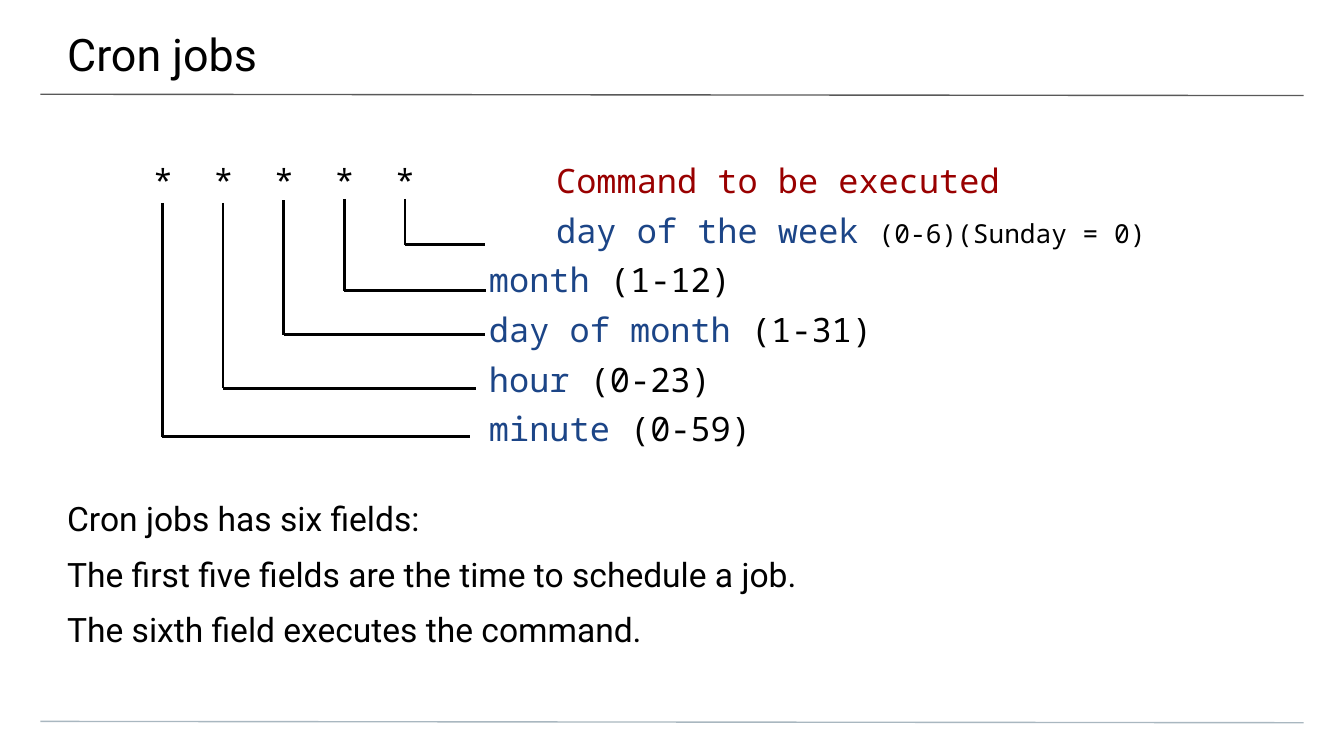
from lxml.etree import SubElement
from pptx import Presentation
from pptx.dml.color import RGBColor
from pptx.enum.shapes import MSO_CONNECTOR
from pptx.enum.text import MSO_ANCHOR
from pptx.oxml.ns import qn
from pptx.util import Pt

COLOURS = {
    "text": "000000",
    "command": "990000",
    "field": "1C4587",
    "top rule": "595959",
    "bottom rule": "A9B7C0",
}
TEXT_FONT = "Roboto"
CODE_FONT = "Noto Sans Mono"

STAR_PITCH = 32.4
COMMAND_INDENT = 216
FIELD_INDENT = 180

# Each row: left indent, then (text, colour, size) for each run
CRON_ROWS = [
    (0, [("*\t*\t*\t*\t*\t", "text", 18), ("Command to be executed", "command", 18)]),
    (COMMAND_INDENT, [("day of the week ", "field", 18), ("(0-6)(Sunday = 0)", "text", 14)]),
    (FIELD_INDENT, [("month", "field", 18), (" (1-12)", "text", 18)]),
    (FIELD_INDENT, [("day of month", "field", 18), (" (1-31)", "text", 18)]),
    (FIELD_INDENT, [("hour", "field", 18), (" (0-23)", "text", 18)]),
    (FIELD_INDENT, [("minute", "field", 18), (" (0-59)", "text", 18)]),
]

# Top, bottom and right end of the bracket under each star, left to right
BRACKETS = [
    (108.7, 234, 252),
    (108.7, 208, 255),
    (107.3, 179.3, 260),
    (106.6, 155.7, 260.6),
    (106.6, 131.2, 260),
]
BRACKET_LEFT = 87
BRACKET_PITCH = 32.5

BODY_LINES = [
    "Cron jobs has six fields:",
    "The first five fields are the time to schedule a job.",
    "The sixth field executes the command.",
]


def colour(name):
    return RGBColor.from_string(COLOURS[name])


def add_line(slide, start, end, colour_name, width):
    line = slide.shapes.add_connector(
        MSO_CONNECTOR.STRAIGHT, *(Pt(value) for value in (*start, *end))
    )
    line.line.color.rgb = colour(colour_name)
    line.line.width = Pt(width)
    SubElement(line._element.spPr, qn("a:effectLst"))


def add_text_frame(slide, box, insets):
    """Add a wrapping text box; insets are left, top, right, bottom."""
    frame = slide.shapes.add_textbox(*(Pt(value) for value in box)).text_frame
    frame.word_wrap = True
    frame.vertical_anchor = MSO_ANCHOR.TOP
    (frame.margin_left, frame.margin_top,
     frame.margin_right, frame.margin_bottom) = (Pt(value) for value in insets)
    return frame


def next_paragraph(frame, index, space_before):
    if index == 0:
        return frame.paragraphs[0]
    paragraph = frame.add_paragraph()
    paragraph.space_before = Pt(space_before)
    return paragraph


def add_plain_text(slide, box, insets, lines, size):
    frame = add_text_frame(slide, box, insets)
    for index, line in enumerate(lines):
        paragraph = next_paragraph(frame, index, 8)
        paragraph.text = line
        paragraph.font.name = TEXT_FONT
        paragraph.font.size = Pt(size)
        paragraph.font.color.rgb = colour("text")


def set_tab_stops(paragraph, positions):
    tab_list = SubElement(paragraph._p.get_or_add_pPr(), qn("a:tabLst"))
    for position in positions:
        SubElement(tab_list, qn("a:tab"), pos=str(Pt(position)), algn="l")


def add_cron_text(slide):
    frame = add_text_frame(slide, (74.9, 78.5, 640, 152.6), (7.2,) * 4)
    for index, (indent, runs) in enumerate(CRON_ROWS):
        paragraph = next_paragraph(frame, index, 5)
        paragraph.line_spacing = Pt(21.6)
        if index == 0:
            stars = [STAR_PITCH * star for star in range(1, 5)]
            set_tab_stops(paragraph, stars + [COMMAND_INDENT])
        else:
            paragraph._p.get_or_add_pPr().set("marL", str(Pt(indent)))
        paragraph.font.name = CODE_FONT
        for text, colour_name, size in runs:
            run = paragraph.add_run()
            run.text = text
            run.font.size = Pt(size)
            run.font.color.rgb = colour(colour_name)


def add_brackets(slide):
    for index, (top, bottom, right) in enumerate(BRACKETS):
        left = BRACKET_LEFT + index * BRACKET_PITCH
        corner = (left, bottom)
        add_line(slide, (left, top), corner, "text", 1.5)
        add_line(slide, corner, (right, bottom), "text", 1.5)


def main():
    presentation = Presentation()
    presentation.slide_width = Pt(720)
    presentation.slide_height = Pt(405)
    slide = presentation.slides.add_slide(presentation.slide_layouts[6])

    add_line(slide, (21.6, 50.5), (698.4, 51.2), "top rule", 0.75)
    add_line(slide, (21.6, 386.5), (698.4, 387.2), "bottom rule", 0.75)
    add_cron_text(slide)
    add_plain_text(slide, (0, 0, 720, 42), (36, 14.4, 21.6, 7.2), ["Cron jobs"], 24)
    add_plain_text(slide, (0, 267, 720, 119.5), (36, 0, 36, 7.2), BODY_LINES, 18)
    add_brackets(slide)

    presentation.save("out.pptx")


if __name__ == "__main__":
    main()
